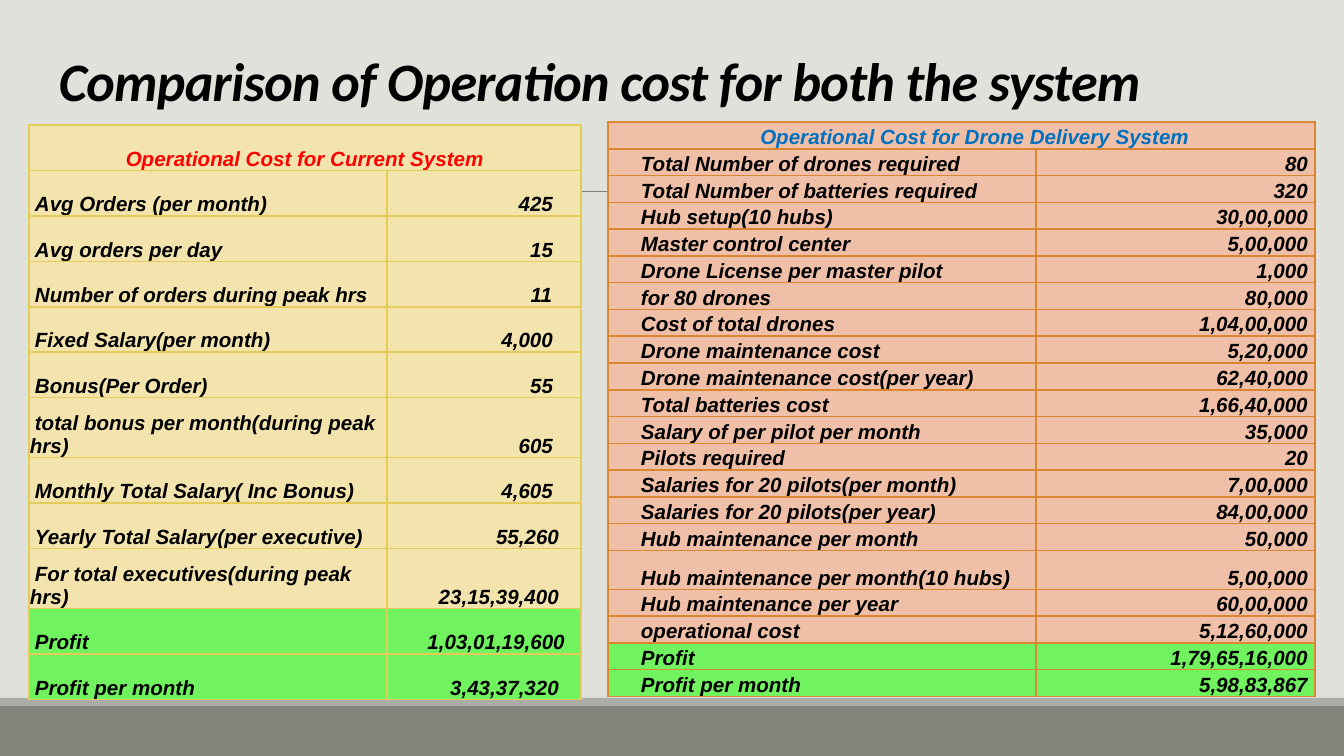
import pptx
import pptx.util
import pptx.dml.color
import pptx.enum.shapes
import pptx.enum.text
import pptx.oxml
import pptx.oxml.ns

SCALE = 914400 / 134.4  # EMU in one px
ALIGN = pptx.enum.text.PP_ALIGN
ANCHOR = pptx.enum.text.MSO_ANCHOR
RECT = pptx.enum.shapes.MSO_SHAPE.RECTANGLE
LINE = pptx.enum.shapes.MSO_CONNECTOR.STRAIGHT
GREEN = "71F35F"

# Label, value and the gap right of the value in px
CURRENT = [
    ("Avg Orders (per month)", "425", 28),
    ("Avg orders per day", "15", 28),
    ("Number of orders during peak hrs", "11", 29),
    ("Fixed Salary(per month)", "4,000", 28),
    ("Bonus(Per Order)", "55", 28),
    ("total bonus per month(during peak hrs)", "605", 28),
    ("Monthly Total Salary( Inc Bonus)", "4,605", 28),
    ("Yearly Total Salary(per executive)", "55,260", 22),
    ("For total executives(during peak hrs)", "23,15,39,400", 22),
    ("Profit", "1,03,01,19,600", 16),
    ("Profit per month", "3,43,37,320", 22),
]

DRONE = [
    ("Total Number of drones required", "80"),
    ("Total Number of batteries required", "320"),
    ("Hub setup(10 hubs)", "30,00,000"),
    ("Master control center", "5,00,000"),
    ("Drone License per master pilot", "1,000"),
    ("for 80 drones", "80,000"),
    ("Cost of total drones", "1,04,00,000"),
    ("Drone maintenance cost", "5,20,000"),
    ("Drone maintenance cost(per year)", "62,40,000"),
    ("Total batteries cost", "1,66,40,000"),
    ("Salary of per pilot per month", "35,000"),
    ("Pilots required", "20"),
    ("Salaries for 20 pilots(per month)", "7,00,000"),
    ("Salaries for 20 pilots(per year)", "84,00,000"),
    ("Hub maintenance per month", "50,000"),
    ("Hub maintenance per month(10 hubs)", "5,00,000"),
    ("Hub maintenance per year", "60,00,000"),
    ("operational cost", "5,12,60,000"),
    ("Profit", "1,79,65,16,000"),
    ("Profit per month", "5,98,83,867"),
]


def px(n):
    return pptx.util.Emu(round(n * SCALE))


def color(code):
    return pptx.dml.color.RGBColor.from_string(code)


def paint(fill, code):
    fill.solid()
    fill.fore_color.rgb = color(code)


def write(par, text, size, face, code):
    run = par.add_run()
    run.text = text
    font = run.font
    font.size, font.name = pptx.util.Pt(size), face
    font.bold = font.italic = True
    font.color.rgb = color(code)
    return run


def add_bar(slide, top, height, code):
    bar = slide.shapes.add_shape(RECT, 0, px(top), px(1344), px(height))
    bar.shadow.inherit = False
    paint(bar.fill, code)
    bar.line.fill.background()


def add_rule(slide, left, right, y):
    rule = slide.shapes.add_connector(LINE, px(left), px(y), px(right), px(y))
    rule.line.color.rgb = color("808080")
    rule.line.width = pptx.util.Pt(0.5)
    props = rule._element.spPr
    props.append(pptx.oxml.parse_xml(
        "<a:effectLst %s/>" % pptx.oxml.ns.nsdecls("a")))


def set_title(slide, text):
    title = slide.shapes.title
    title.left, title.top = px(46), px(32)
    title.width, title.height = px(1252), px(105)
    frame = title.text_frame
    frame.word_wrap = True
    frame.vertical_anchor = ANCHOR.MIDDLE
    frame.margin_left = frame.margin_right = px(13)
    frame.margin_top = frame.margin_bottom = px(13)
    par = frame.paragraphs[0]
    par.alignment = ALIGN.LEFT
    par.line_spacing = 0.85
    run = write(par, text, 29, "Calibri", "000000")
    run._r.get_or_add_rPr().set("spc", "-40")


def edge(cell, code):
    props = cell._tc.get_or_add_tcPr()
    for i, side in enumerate(("lnL", "lnR", "lnT", "lnB")):
        props.insert(i, pptx.oxml.parse_xml(
            '<a:%s %s w="12700"><a:solidFill><a:srgbClr val="%s"/>'
            "</a:solidFill></a:%s>"
            % (side, pptx.oxml.ns.nsdecls("a"), code, side)))


def fill_cell(cell, text, align, left, right, code="000000", indent=0):
    cell.margin_left, cell.margin_right = px(left), px(right)
    cell.margin_top, cell.margin_bottom = px(1), 0
    cell.vertical_anchor = ANCHOR.BOTTOM
    par = cell.text_frame.paragraphs[0]
    par.alignment = align
    if indent:
        par._p.get_or_add_pPr().set("indent", str(px(indent)))
    write(par, text, 11, "Arial", code)


def add_grid(slide, box, cols, tall, high, head, ink, rows, inset, back, rim):
    """Rows in tall are high px; the others share the rest of the box."""
    count = len(rows) + 1
    low = (box[3] - len(tall) * high) / (count - len(tall))
    grid = slide.shapes.add_table(count, 2, *map(px, box)).table
    for col, width in zip(grid.columns, cols):
        col.width = px(width)
    for i, row in enumerate(grid.rows):
        row.height = px(high if i in tall else low)
        for cell in row.cells:
            paint(cell.fill, GREEN if i >= count - 2 else back)
            edge(cell, rim)

    # Heading across both columns
    grid.cell(0, 0).merge(grid.cell(0, 1))
    fill_cell(grid.cell(0, 0), head, ALIGN.CENTER, inset, 1, ink)

    # Labels and values
    for i, (label, value, gap) in enumerate(rows, 1):
        fill_cell(grid.cell(i, 0), label, ALIGN.LEFT, inset, 1, indent=5)
        fill_cell(grid.cell(i, 1), value, ALIGN.RIGHT, inset, gap)


def main():
    deck = pptx.Presentation()
    deck.slide_width, deck.slide_height = px(1344), px(756)
    slide = deck.slides.add_slide(deck.slide_layouts[5])
    paint(slide.background.fill, "E1E1DB")

    # Footer bars and rule
    add_bar(slide, 706, 50, "82847C")
    add_bar(slide, 698, 8, "ACADA8")
    add_rule(slide, 132, 1230, 192)

    set_title(slide, "Comparison of Operation cost for both the system")

    # Cost tables
    add_grid(slide, (29, 125, 552, 575), (358, 194), (6, 9), 60,
             "Operational Cost for Current System", "FF0000",
             CURRENT, 1, "F3E4AE", "E3CC5A")
    add_grid(slide, (608, 122, 707, 575), (428, 279), (16,), 39,
             "Operational Cost for Drone Delivery System", "0070C0",
             [(*row, 7) for row in DRONE], 28, "F0BFA7", "DB8631")

    deck.save("out.pptx")


if __name__ == "__main__":
    main()
